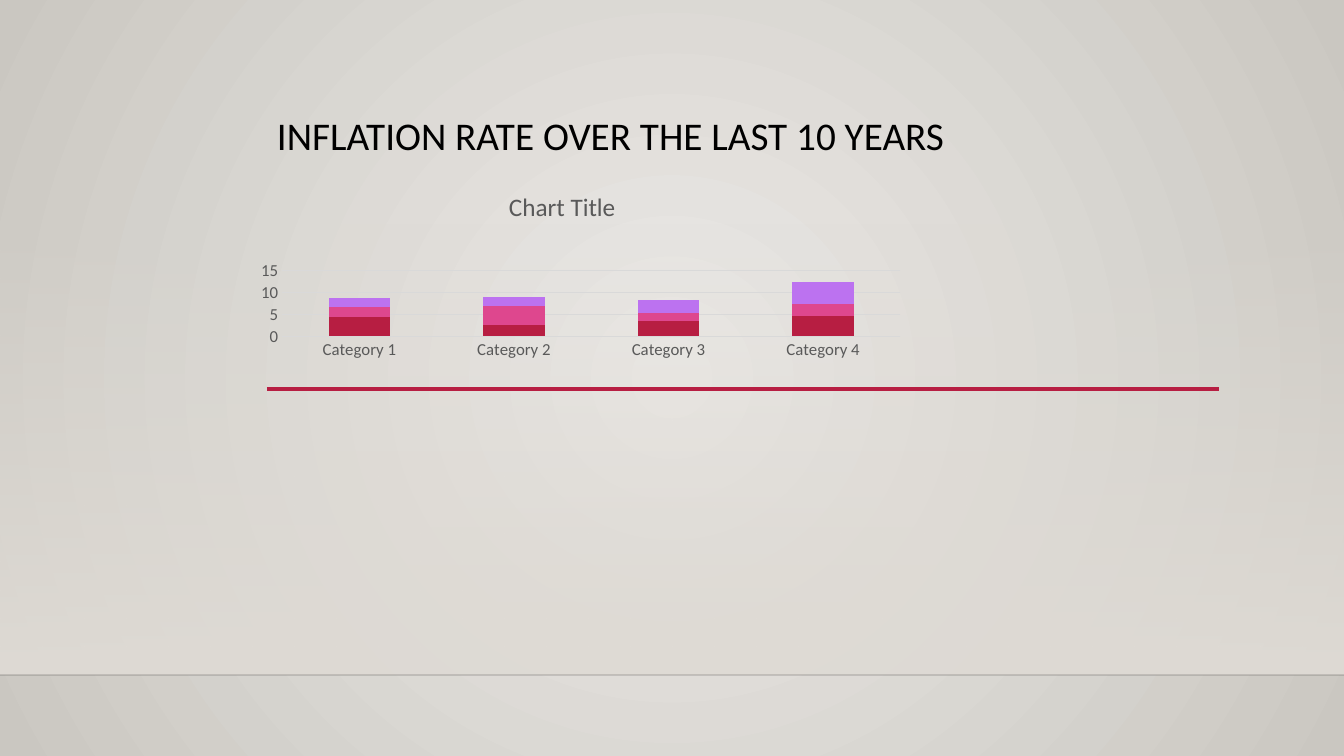
import pptx
import pptx.chart.data
import pptx.dml.color
import pptx.enum.chart
import pptx.enum.shapes
import pptx.enum.text
import pptx.oxml
import pptx.oxml.ns
import pptx.util

RGB = pptx.dml.color.RGBColor
BLACK = RGB(0x00, 0x00, 0x00)
GREY = RGB(0x59, 0x59, 0x59)
PALE_GREY = RGB(0xD9, 0xD9, 0xD9)
CENTRE = RGB(0xEC, 0xEA, 0xE7)
EDGE = RGB(0xCA, 0xC7, 0xC1)
SAND = RGB(0xDF, 0xDB, 0xD5)
CRIMSON = RGB(0xB7, 0x1E, 0x42)
PINK = RGB(0xDE, 0x47, 0x8E)
VIOLET = RGB(0xBC, 0x72, 0xF0)

WIDTH, HEIGHT = 1344, 756
PX_PER_INCH = 100.8
FLOOR = 675

CATEGORIES = ["Category 1", "Category 2", "Category 3", "Category 4"]
SERIES = [
    ("Series 1", [4.3, 2.5, 3.5, 4.5], CRIMSON),
    ("Series 2", [2.4, 4.4, 1.8, 2.8], PINK),
    ("Series 3", [2, 2, 3, 5], VIOLET),
]
PLOT_AREA = {"x": 0.086, "y": 0.497, "w": 0.914, "h": 0.347}


def emu(px):
    return pptx.util.Emu(round(px * 914400 / PX_PER_INCH))


def xml(prefix, body):
    """Parse one element given as text, declaring its namespace."""
    tag, rest = body[1:].split(">", 1)
    names = pptx.oxml.ns.nsdecls(prefix)
    if tag.endswith("/"):
        return pptx.oxml.parse_xml(f"<{tag[:-1]} {names}/>")
    attributes = f"<{tag} {names}>"
    return pptx.oxml.parse_xml(attributes + rest)


def find(element, tag):
    return next(element.iter(pptx.oxml.ns.qn(tag)))


def set_alpha(element, percent):
    """Set the opacity of the first plain colour inside the element."""
    colour = find(element, "a:srgbClr")
    colour.append(xml("a", f'<a:alpha val="{percent * 1000}"/>'))


def set_stops(fill, first, last):
    fill.gradient()
    for stop, colour in zip(fill.gradient_stops, (first, last)):
        stop.color.rgb = colour


class Page:
    font = "Calibri"

    def __init__(self, deck):
        self.slide = deck.slides.add_slide(deck.slide_layouts[5])
        self.shapes = self.slide.shapes

    def style(self, font, size, colour):
        font.name = self.font
        font.size = pptx.util.Pt(size)
        font.bold = False
        font.color.rgb = colour

    def radial_background(self, centre, edge):
        set_stops(self.slide.background.fill, centre, edge)
        gradient = find(self.slide.element, "a:gradFill")
        for position, stop in zip((0, 100000), gradient.iter(pptx.oxml.ns.qn("a:gs"))):
            stop.set("pos", str(position))
        gradient.replace(find(gradient, "a:lin"), xml(
            "a", '<a:path path="circle"><a:fillToRect l="50000" t="50000"'
                 ' r="50000" b="50000"/></a:path>'))

    def fading_panel(self, left, top, width, height, colour):
        """Add a rectangle that goes from clear at its top to solid at its foot."""
        panel = self.shapes.add_shape(
            pptx.enum.shapes.MSO_SHAPE.RECTANGLE,
            *map(emu, (left, top, width, height)))
        panel.shadow.inherit = False
        panel.line.fill.background()
        set_stops(panel.fill, colour, colour)
        panel.fill.gradient_angle = 270
        set_alpha(panel.element, 0)

    def rule(self, left, right, y, colour, weight, opacity=100):
        rule = self.shapes.add_connector(
            pptx.enum.shapes.MSO_CONNECTOR.STRAIGHT, *map(emu, (left, y, right, y)))
        rule.line.color.rgb = colour
        rule.line.width = pptx.util.Pt(weight)
        find(rule.element, "p:spPr").append(xml("a", "<a:effectLst/>"))
        if opacity < 100:
            set_alpha(rule.element, opacity)

    def title(self, left, top, width, height, text):
        box = self.shapes.title
        box.left, box.top, box.width, box.height = map(emu, (left, top, width, height))
        frame = box.text_frame
        frame.word_wrap = True
        frame.auto_size = pptx.enum.text.MSO_AUTO_SIZE.NONE
        frame.vertical_anchor = pptx.enum.text.MSO_ANCHOR.BOTTOM
        frame.margin_left = frame.margin_right = emu(10)
        frame.margin_top, frame.margin_bottom = emu(5), 0
        para = frame.paragraphs[0]
        para.alignment = pptx.enum.text.PP_ALIGN.LEFT
        para.line_spacing = 0.9
        span = para.add_run()
        span.text = text
        self.style(span.font, 28, BLACK)

    def stacked_chart(self, left, top, width, height, heading):
        data = pptx.chart.data.CategoryChartData()
        data.categories = CATEGORIES
        for name, values, _ in SERIES:
            data.add_series(name, values)
        chart = self.shapes.add_chart(
            pptx.enum.chart.XL_CHART_TYPE.COLUMN_STACKED,
            *map(emu, (left, top, width, height)), data).chart
        self.style(chart.font, 10, BLACK)
        chart.has_legend = False
        chart.has_title = True
        span = chart.chart_title.text_frame.paragraphs[0].add_run()
        span.text = heading
        self.style(span.font, 18, GREY)

        plot = chart.plots[0]
        plot.gap_width, plot.overlap = 150, 100
        plot.vary_by_categories = False
        for series, (_, _, colour) in zip(plot.series, SERIES):
            series.format.fill.solid()
            series.format.fill.fore_color.rgb = colour
            series.invert_if_negative = False

        for axis in (chart.category_axis, chart.value_axis):
            axis.major_tick_mark = pptx.enum.chart.XL_TICK_MARK.NONE
            axis.minor_tick_mark = pptx.enum.chart.XL_TICK_MARK.NONE
            self.style(axis.tick_labels.font, 12, GREY)
        chart.value_axis.format.line.fill.background()
        chart.value_axis.minimum_scale = 0
        chart.value_axis.maximum_scale = 15
        chart.value_axis.major_unit = 5
        for line in (chart.category_axis.format.line,
                     chart.value_axis.major_gridlines.format.line):
            line.color.rgb = PALE_GREY
            line.width = pptx.util.Pt(0.75)
        self.place_plot(chart)

    def place_plot(self, chart):
        area = find(chart.element, "c:plotArea")
        for layout in area.findall(pptx.oxml.ns.qn("c:layout")):
            area.remove(layout)
        modes = '<c:xMode val="edge"/><c:yMode val="edge"/>'
        sizes = "".join(f'<c:{key} val="{part}"/>' for key, part in PLOT_AREA.items())
        area.insert(0, xml(
            "c", '<c:layout><c:manualLayout><c:layoutTarget val="inner"/>'
                 f"{modes}{sizes}</c:manualLayout></c:layout>"))


def main():
    deck = pptx.Presentation()
    deck.slide_width, deck.slide_height = emu(WIDTH), emu(HEIGHT)
    page = Page(deck)
    page.radial_background(CENTRE, EDGE)
    page.fading_panel(0, 223, WIDTH, FLOOR - 223, SAND)
    page.rule(0, WIDTH, FLOOR, BLACK, 1, opacity=20)
    page.rule(267, 1219, 389, CRIMSON, 2.5)
    page.title(267, 89, 952, 70, "INFLATION RATE OVER THE LAST 10 YEARS")
    page.stacked_chart(224, 176, 677, 190, "Chart Title")
    deck.save("out.pptx")


if __name__ == "__main__":
    main()
